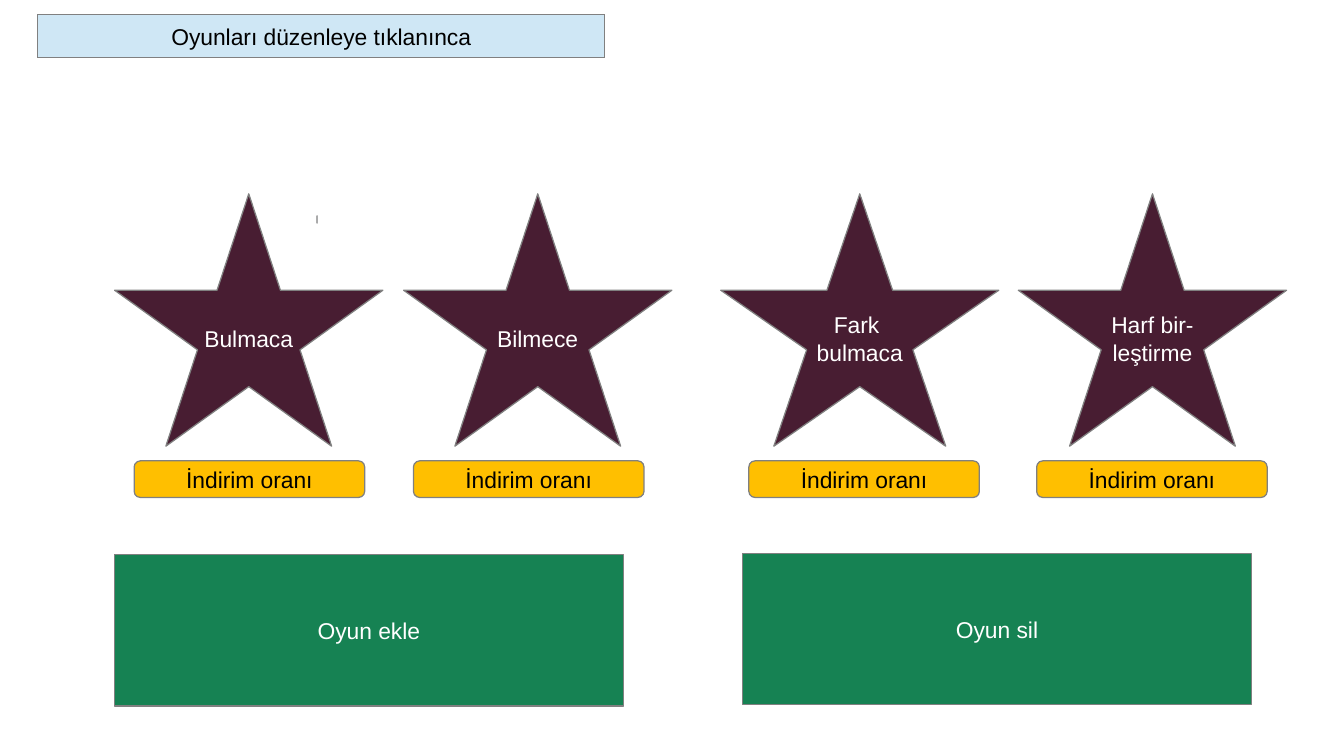
from dataclasses import dataclass

import lxml.etree
import pptx
import pptx.dml.color
import pptx.enum.shapes
import pptx.enum.text
import pptx.oxml.ns
import pptx.shapes.autoshape
import pptx.util

Inches = pptx.util.Inches
Shape = pptx.enum.shapes.MSO_SHAPE

PALE_BLUE = "CFE7F5"
PLUM = "481D32"
AMBER = "FFBF00"
GREEN = "168253"
GREY = "808080"
BLACK = "000000"
WHITE = "FFFFFF"


@dataclass
class Game:
    lines: list[str]
    star_left: float
    star_width: float
    discount_left: float


@dataclass
class Action:
    label: str
    left: float
    top: float


GAMES = [
    Game(["Bulmaca"], 0.94, 2.2, 1.1),
    Game(["Bilmece"], 3.31, 2.2, 3.39),
    Game(["Fark ", "bulmaca"], 5.91, 2.28, 6.14),
    Game(["Harf bir-", "leştirme"], 8.35, 2.2, 8.5),
]
ACTIONS = [Action("Oyun ekle", 0.94, 4.55), Action("Oyun sil", 6.09, 4.54)]


def color(value: str) -> pptx.dml.color.RGBColor:
    return pptx.dml.color.RGBColor.from_string(value)


def format_shape(shape: pptx.shapes.autoshape.Shape, fill: str,
                 lines: list[str], text_color: str) -> None:
    """Fill and outline a shape, then write its centred lines."""
    shape.fill.solid()
    shape.fill.fore_color.rgb = color(fill)
    shape.line.color.rgb = color(GREY)
    shape.line.width = pptx.util.Pt(0)
    frame = shape.text_frame
    frame.word_wrap = False
    frame.auto_size = pptx.enum.text.MSO_AUTO_SIZE.NONE
    frame.vertical_anchor = pptx.enum.text.MSO_ANCHOR.MIDDLE
    for index, line in enumerate(lines):
        paragraph = frame.add_paragraph() if index else frame.paragraphs[0]
        paragraph.alignment = pptx.enum.text.PP_ALIGN.CENTER
        run = paragraph.add_run()
        run.text = line
        run.font.name = "Arial"
        run.font.size = pptx.util.Pt(13.5)
        run.font.color.rgb = color(text_color)


def add_box(slide: pptx.slide.Slide, kind: Shape, left: float, top: float,
            width: float, height: float, fill: str, lines: list[str],
            text_color: str = WHITE) -> None:
    shape = slide.shapes.add_shape(
        kind, Inches(left), Inches(top), Inches(width), Inches(height))
    shape.shadow.inherit = False
    format_shape(shape, fill, lines, text_color)


def add_title(slide: pptx.slide.Slide, text: str) -> None:
    """Turn the title placeholder into the oval heading."""
    title = slide.shapes.title
    title.left, title.top = Inches(0.31), Inches(0.12)
    title.width, title.height = Inches(4.65), Inches(0.35)
    qn = pptx.oxml.ns.qn
    geometry = lxml.etree.SubElement(
        title.element.spPr, qn("a:prstGeom"), prst="ellipse")
    lxml.etree.SubElement(geometry, qn("a:avLst"))
    format_shape(title, PALE_BLUE, [text], BLACK)


def main() -> None:
    presentation = pptx.Presentation()
    presentation.slide_width = Inches(11.02)
    presentation.slide_height = Inches(6.2)
    slide = presentation.slides.add_slide(presentation.slide_layouts[5])

    add_title(slide, "Oyunları düzenleye tıklanınca")

    # Games with their discount rates
    for game in GAMES:
        add_box(slide, Shape.STAR_5_POINT, game.star_left, 1.59,
                game.star_width, 2.07, PLUM, game.lines)
        add_box(slide, Shape.FLOWCHART_ALTERNATE_PROCESS, game.discount_left,
                3.78, 1.89, 0.3, AMBER, ["İndirim oranı"], BLACK)

    # Small tick beside the first star
    add_box(slide, Shape.STAR_5_POINT, 2.6, 1.77, 0, 0.06, PALE_BLUE, [])

    # Action buttons
    for action in ACTIONS:
        add_box(slide, Shape.RECTANGLE, action.left, action.top,
                4.17, 1.24, GREEN, [action.label])

    presentation.save("out.pptx")


if __name__ == "__main__":
    main()
